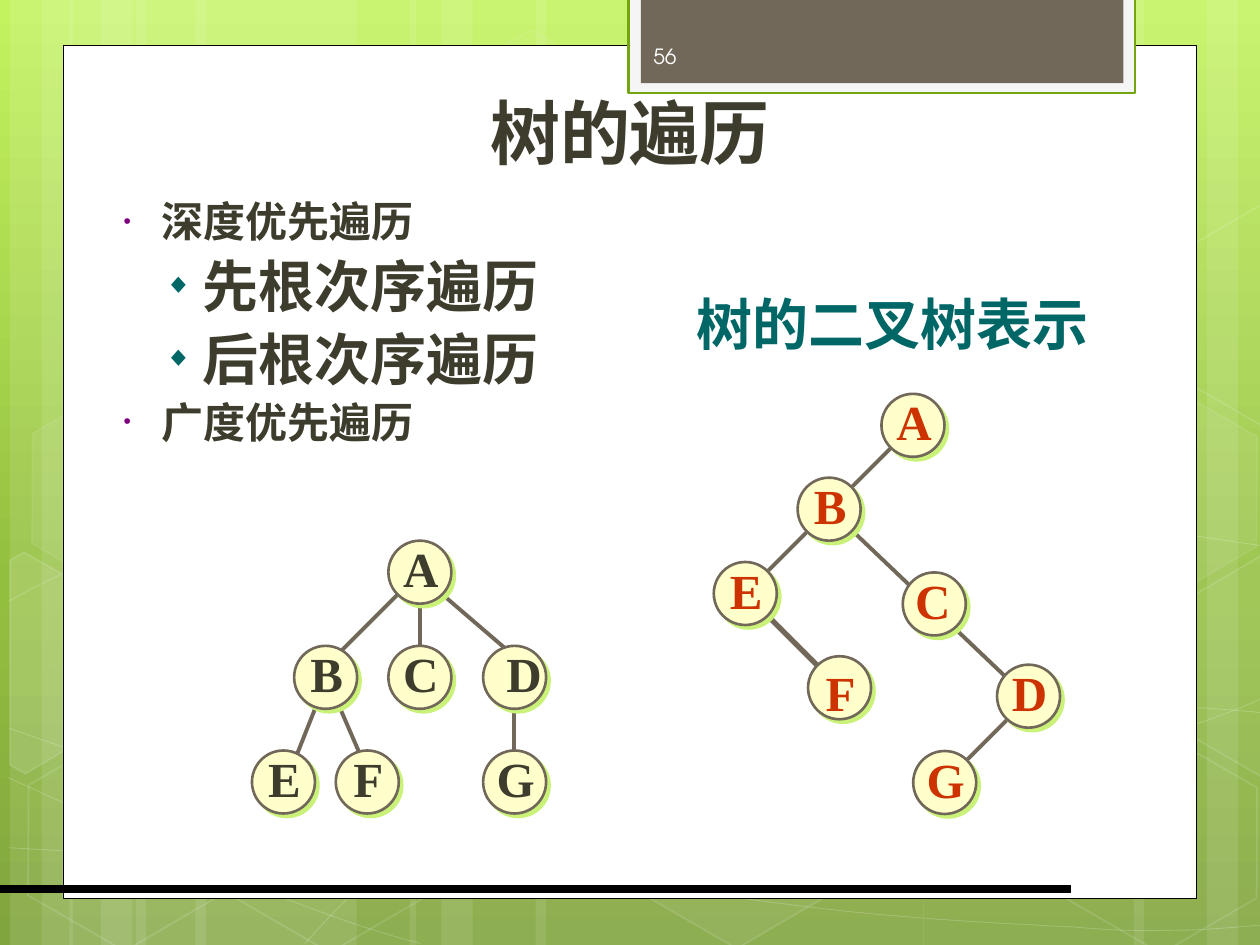
import math
from copy import deepcopy

from lxml import etree
from pptx import Presentation
from pptx import util as u
from pptx.dml.color import RGBColor
from pptx.enum import shapes, text
from pptx.oxml.ns import qn

COLORS = {
    "sky": "C3F35F", "leaf": "93BF3F", "moss": "81A53E", "white": "FFFFFF",
    "black": "000000", "tab": "F5F5F5", "tab_edge": "74A510", "stone": "71685A",
    "ink": "3E3D2D", "number": "FEFEFE", "purple": "800080", "teal": "006666",
    "red": "CC3300", "node": "FFFFCC", "shade": "CAF278",
}
SANS, SERIF = "TeX Gyre Adventor", "Times New Roman"
WIDTH, HEIGHT, NODE, TILT = 25.4, 19.05, 1.27, 30

CURVES = [
    [(0.18, 17.09), (1.55, 17.17), (2.92, 17.25), (4.83, 17.22), (6.73, 17.2), (9.09, 17.15),
     (11.63, 16.89), (14.17, 16.64), (17.78, 16.15), (20.12, 15.67), (22.43, 15.19),
     (24.82, 14.43), (25.58, 14)],
    [(0.18, 12.12), (0.91, 11.71), (1.65, 11.33), (3.07, 10.95), (4.52, 10.57), (6.58, 10),
     (8.81, 9.83), (11.07, 9.65), (13.82, 9.63), (16.61, 9.83), (19.41, 10.03),
     (24.05, 10.82), (25.58, 11.02)],
    [(0.15, 15.67), (3.23, 17.07), (6.27, 18.47), (8.48, 19.02)],
    [(0.18, 14.68), (0.97, 14.96), (1.78, 15.24), (3.25, 15.65), (4.72, 16.03), (6.93, 16.66),
     (9.07, 17.09), (11.18, 17.53), (13.84, 17.98), (15.95, 18.24), (18.06, 18.52),
     (20.32, 18.62), (21.67, 18.69), (22.99, 18.8), (23.34, 18.75), (24, 18.75),
     (24.66, 18.72), (25.12, 18.67), (25.58, 18.64)],
    [(6.15, 19.02), (6.6, 18.52), (7.06, 18.01), (7.67, 17.55), (8.28, 17.09), (9.14, 16.59),
     (9.86, 16.23), (10.57, 15.88), (11, 15.72), (11.94, 15.47), (12.85, 15.21),
     (14.55, 14.86), (15.44, 14.68), (16.36, 14.5), (16.48, 14.5), (17.27, 14.45),
     (18.08, 14.38), (19.3, 14.3), (20.17, 14.27), (21.06, 14.25), (22.5, 14.27),
     (22.5, 14.27), (23.05, 14.27), (23.65, 14.27), (24.21, 14.27), (24.66, 14.3),
     (25.1, 14.33), (25.55, 14.38)],
]
HEXAGONS = [
    (8.48, 0.91, 4, 8), (12.62, 14.96, 6, 12), (0.28, 15.01, None, 12), (0.36, 7.92, 7, 8),
    (4.42, 15.04, None, 12), (19.13, 11.51, 10, 12), (21.18, 15.06, None, 12),
    (21.18, 7.98, 7, 8),
]
LEFT_CUT = [(0.2, 11.3), (0.48, 11.13), (2.44, 12.24), (2.41, 14.48), (0.51, 15.6), (0.2, 15.42)]
RIGHT_CUT = [(23.52, 12.32), (25.43, 11.2), (25.63, 11.33), (25.63, 15.57), (25.45, 15.67),
             (23.52, 14.55)]

GENERAL_TREE = {
    "nodes": [("A", 2.75, 0), ("C", 2.75, 2.12), ("F", 1.69, 4.23), ("E", 0, 4.23),
              ("B", 0.85, 2.12), ("D", 4.66, 2.12), ("G", 4.66, 4.23)],
    "edges": [(5.29, 3.18, 5.29, 4.45), (1.69, 3.18, 2.33, 4.66), (1.27, 3.39, 0.85, 4.45),
              (3.81, 1.06, 5.29, 2.33), (3.39, 1.27, 3.39, 2.33), (2.96, 1.06, 1.69, 2.33)],
    "nudges": {"D": (0.19, -0.08)},
}
BINARY_TREE = {
    "nodes": [("A", 3.38, 0), ("B", 1.69, 1.69), ("D", 5.71, 5.46), ("C", 3.81, 3.6),
              ("E", 0, 3.39), ("G", 4.02, 7.2), ("F", 1.9, 5.29)],
    "edges": [(0.85, 4.24, 2.12, 5.51, 3), (6.13, 6.35, 4.86, 7.62), (3.81, 0.85, 0.85, 3.81),
              (2.74, 2.71, 6.13, 5.94)],
    "nudges": {"F": (0.02, 0.09), "C": (-0.03, -0.08)},
}


def rgb(name):
    return RGBColor.from_string(COLORS[name])


def lengths(*values):
    return [u.Cm(value) for value in values]


def child(parent, tag, **attributes):
    return etree.SubElement(parent, qn(tag), {key: str(value) for key, value in attributes.items()})


def paint(shape, fill=None, line=None, width=1, fill_alpha=100, line_alpha=100):
    shape.shadow.inherit = False
    for format_, name in ((shape.fill, fill), (shape.line.fill, line)):
        if name:
            format_.solid()
            format_.fore_color.rgb = rgb(name)
        else:
            format_.background()
    if line:
        shape.line.width = u.Pt(width)
    for place_, alpha in (("a:solidFill", fill_alpha), ("a:ln/a:solidFill", line_alpha)):
        steps = "/".join(qn(tag) for tag in place_.split("/") + ["a:srgbClr"])
        color = shape.element.spPr.find(steps)
        if color is not None and alpha < 100:
            child(color, "a:alpha", val=alpha * 1000)


def add_preset(page, kind, box, **look):
    shape = page.shapes.add_shape(kind, *lengths(*box))
    paint(shape, **look)
    return shape


def add_outline(page, points, close, **look):
    points = [lengths(*point) for point in points]
    builder = page.shapes.build_freeform(*points[0])
    builder.add_line_segments(points[1:], close=close)
    shape = builder.convert_to_shape()
    paint(shape, line="white", **look)
    return shape


def add_curve(page, points, **look):
    shape = add_outline(page, points, False, **look)
    lines = list(shape.element.iter(qn("a:lnTo")))
    outline = lines[0].getparent()
    for start in range(0, len(lines), 3):
        bend = child(outline, "a:cubicBezTo")
        for line in lines[start:start + 3]:
            bend.append(line[0])
            outline.remove(line)


def add_cut_hexagon(page, points, **look):
    middle = [sum(values) / len(points) for values in zip(*points)]
    cos, sin = math.cos(math.radians(TILT)), math.sin(math.radians(TILT))
    offsets = [(x - middle[0], y - middle[1]) for x, y in points]
    upright = [(x * cos + y * sin, y * cos - x * sin) for x, y in offsets]
    center = [(min(values) + max(values)) / 2 for values in zip(*upright)]
    shift_x = center[0] * (cos - 1) - center[1] * sin + middle[0]
    shift_y = center[0] * sin + center[1] * (cos - 1) + middle[1]
    shape = add_outline(page, [(x + shift_x, y + shift_y) for x, y in upright], True,
                        line_alpha=12, **look)
    shape.rotation = TILT


def add_line(page, ends, color, width):
    line = page.shapes.add_connector(shapes.MSO_CONNECTOR.STRAIGHT, *lengths(*ends))
    line.line.color.rgb = rgb(color)
    line.line.width = u.Pt(width)
    child(line.element.spPr, "a:effectLst")


def write(para, words, size, color, font=SANS, bold=True, align=text.PP_ALIGN.LEFT):
    para.alignment = align
    span = para.add_run()
    span.text = words
    span.font.size, span.font.name, span.font.bold = u.Pt(size), font, bold
    span.font.color.rgb = rgb(color)


def add_text(page, box, words, anchor=text.MSO_ANCHOR.TOP, wrap=True, **look):
    frame = page.shapes.add_textbox(*lengths(*box)).text_frame
    frame.word_wrap, frame.vertical_anchor = wrap, anchor
    write(frame.paragraphs[0], words, **look)


def place(page, holder, box, anchor):
    holder.left, holder.top, holder.width, holder.height = lengths(*box)
    page.shapes.element.append(holder.element)
    frame = holder.text_frame
    frame.auto_size, frame.vertical_anchor = text.MSO_AUTO_SIZE.NONE, anchor
    return frame


def draw_backdrop(page):
    fill = page.background.fill
    fill.gradient()
    fill.gradient_angle = 270
    stops = page.element.find(".//" + qn("a:gsLst"))
    stops.append(deepcopy(stops[-1]))
    for stop, name, position in zip(fill.gradient_stops, ("sky", "leaf", "moss"), (0, 0.62, 1)):
        stop.color.rgb = rgb(name)
        stop.position = position
    for origin, wide, mirrored in ((0.2, 4.45, False), (1.4, 4.45, False),
                                   (25.6, 4.45, True), (8.26, 7.82, False)):
        for offset, width in ((2.54, wide), (0, 1.27), (0.64, 2.11)):
            left = origin - offset - width if mirrored else origin + offset
            band = add_preset(page, shapes.MSO_SHAPE.RECTANGLE, (left, 0, width, HEIGHT),
                              fill="white", fill_alpha=10)
            band.rotation = 180 if mirrored else 0
    for points in CURVES:
        add_curve(page, points, width=0.5, line_alpha=20)
    for left, top, fill_alpha, line_alpha in HEXAGONS:
        hexagon = add_preset(page, shapes.MSO_SHAPE.HEXAGON, (left, top, 4.45, 3.86),
                             fill="white" if fill_alpha else None, line="white",
                             fill_alpha=fill_alpha or 100, line_alpha=line_alpha)
        hexagon.adjustments[0], hexagon.adjustments[1] = 0.285, 1.155
        hexagon.rotation = TILT
    add_cut_hexagon(page, LEFT_CUT, fill="white", fill_alpha=10)
    add_cut_hexagon(page, RIGHT_CUT, fill="white", fill_alpha=4)
    add_cut_hexagon(page, [(x, y - 7.08) for x, y in RIGHT_CUT])


def draw_panel(page, left, top, width, height):
    rectangle = shapes.MSO_SHAPE.RECTANGLE
    add_preset(page, rectangle, (left, top, width, height), fill="white", line="black", width=0.5)
    add_preset(page, rectangle, (left + 11.4, -0.05, 10.21, 1.93),
               fill="tab", line="tab_edge", width=1.25)
    add_preset(page, rectangle, (left + 11.65, -0.05, 9.73, 1.73), fill="stone")
    add_line(page, (0, top + 17.02, 21.59, top + 17.02), "black", 4.5)
    add_text(page, (left + 11.65, 0.62, 3.71, 1.02), "56", anchor=text.MSO_ANCHOR.MIDDLE,
             size=12, color="number", bold=False)


def draw_outline_list(page, box, items):
    frame = place(page, page.placeholders[1], box, text.MSO_ANCHOR.TOP)
    styles = [(24, 0.97, "•", "purple"), (32, 1.79, "◆", "teal")]
    for index, (level, words) in enumerate(items):
        size, margin, mark, color = styles[level]
        para = frame.add_paragraph() if index else frame.paragraphs[0]
        para.level, para.space_before = level, u.Pt(size * 0.1)
        write(para, words, size, "ink")
        props = para._p.get_or_add_pPr()
        props.set("marL", str(u.Cm(margin)))
        props.set("indent", str(u.Cm(-0.76)))
        child(child(props, "a:buClr"), "a:srgbClr", val=COLORS[color])
        child(props, "a:buSzPct", val=50000)
        child(props, "a:buFont", typeface="Arial")
        child(props, "a:buChar", char=mark)


def draw_tree(page, left, top, tree, color):
    for x1, y1, x2, y2, *width in tree["edges"]:
        add_line(page, (left + x1, top + y1, left + x2, top + y2), "stone", *(width or [2.25]))
    for name, x, y in tree["nodes"]:
        circle = add_preset(page, shapes.MSO_SHAPE.OVAL, (left + x, top + y, NODE, NODE),
                            fill="node", line="stone", width=1.5)
        effects = circle.element.spPr.find(qn("a:effectLst"))
        shade = child(effects, "a:outerShdw", blurRad=0, dist=u.Pt(2.8), dir=45 * 60000,
                      algn="ctr", rotWithShape=0)
        child(shade, "a:srgbClr", val=COLORS["shade"])
        shift, drop = tree["nudges"].get(name, (0.02, -0.08))
        add_text(page, (left + x + shift, top + y + drop - 0.09, NODE, 1.45), name,
                 anchor=text.MSO_ANCHOR.MIDDLE, wrap=False, size=28, color=color,
                 font=SERIF, align=text.PP_ALIGN.CENTER)


def main():
    deck = Presentation()
    deck.slide_width, deck.slide_height = lengths(WIDTH, HEIGHT)
    page = deck.slides.add_slide(deck.slide_layouts[1])
    draw_backdrop(page)
    draw_panel(page, 1.27, 0.91, 22.86, 17.2)
    title = place(page, page.shapes.title, (1.27, 1.27, 22.86, 2.36), text.MSO_ANCHOR.BOTTOM)
    write(title.paragraphs[0], "树的遍历", 40, "ink", align=text.PP_ALIGN.CENTER)
    draw_outline_list(page, (2.03, 3.82, 22.86, 6.6), [
        (0, "深度优先遍历"), (1, "先根次序遍历"), (1, "后根次序遍历"), (0, "广度优先遍历")])
    add_text(page, (13.79, 5.72, 8.69, 1.6), "树的二叉树表示", size=32, color="teal", font=SERIF)
    draw_tree(page, 14.39, 7.94, BINARY_TREE, "red")
    draw_tree(page, 5.08, 10.9, GENERAL_TREE, "ink")
    deck.save("out.pptx")


if __name__ == "__main__":
    main()
